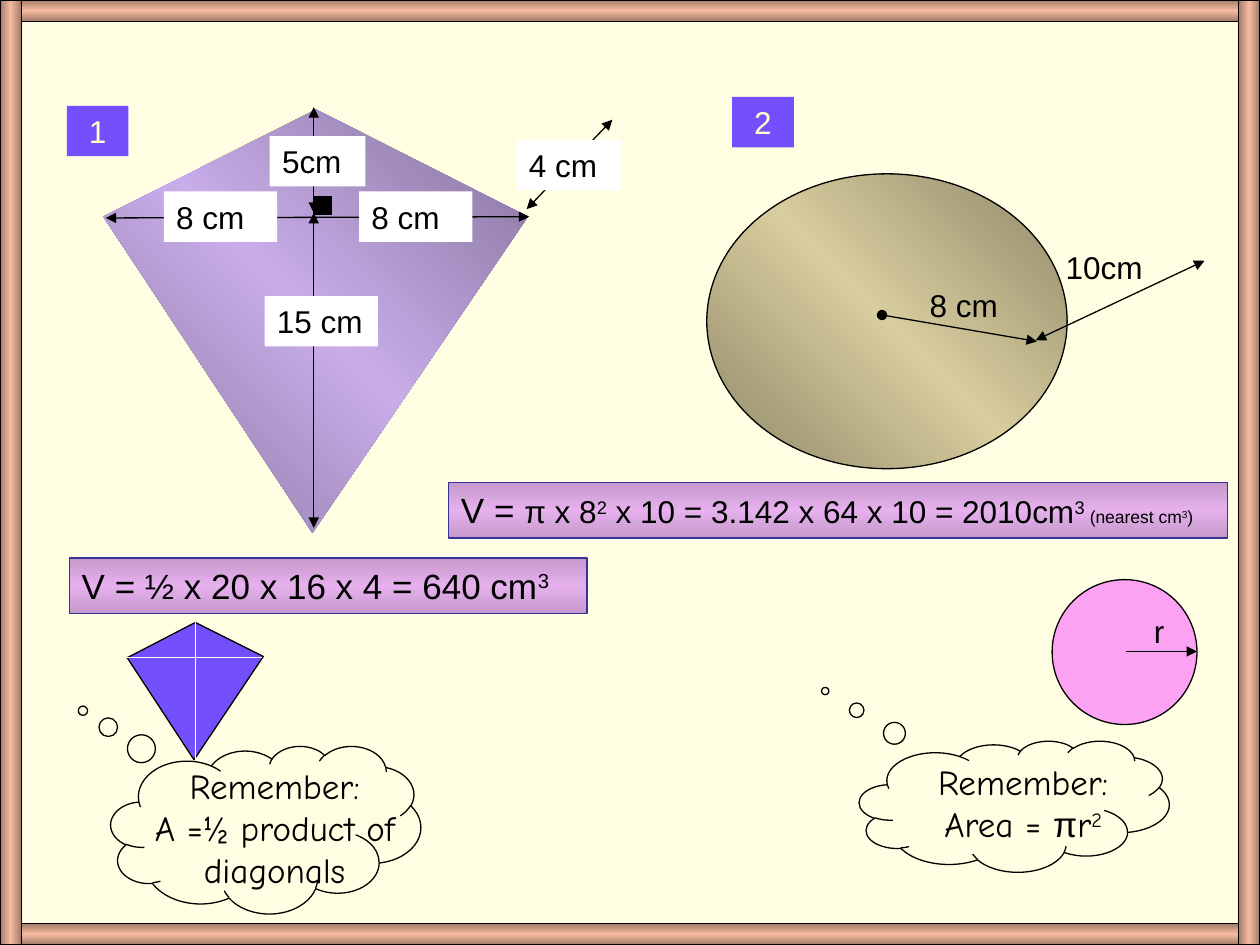
"""Build a slide on the volumes of a kite-based prism and a cylinder."""
from copy import deepcopy
from dataclasses import dataclass
from typing import Optional

from lxml import etree
from pptx import Presentation
from pptx import util as u
from pptx.dml.color import RGBColor
from pptx.enum import shapes, text
from pptx.oxml.ns import qn

COLS, ROWS = 100, 75
CELL = u.Inches(10) // COLS
FRAME = 1.7
COLORS = {
    "page": "FFFEE3", "ink": "000000", "white": "FFFFFF", "violet": "744FFD",
    "cream": "FFFFCC", "pink": "FCA2F3", "navy": "333399",
}
GRADIENTS = {
    "kite": ("847299", "C8ADE9", 135), "disc": ("8E8768", "D8CD9E", 135),
    "formula": ("C598CB", "E6B1ED", 90), "rail": ("A27B69", "F6BBA0", 90),
    "post": ("A27B69", "F6BBA0", 180),
}
RECT, OVAL = shapes.MSO_SHAPE.RECTANGLE, shapes.MSO_SHAPE.OVAL


@dataclass
class Box:
    """A rectangle in grid columns and rows."""
    x: float
    y: float
    w: float
    h: float = 4


@dataclass
class Run:
    """A stretch of text with one format."""
    text: str
    size: float = 18
    font: str = "Arial"
    raised: bool = False


@dataclass
class Line:
    """A straight line with optional arrowheads."""
    x1: float
    y1: float
    x2: float
    y2: float
    head: Optional[str] = "triangle"
    tail: Optional[str] = "triangle"
    color: str = "ink"


def grid(*values: float) -> list[int]:
    """Turn grid units into EMU."""
    return [u.Emu(round(v * CELL)) for v in values]


def rgb(name: str) -> RGBColor:
    """Look up a colour."""
    return RGBColor.from_string(COLORS[name])


def paint(sp, fill: Optional[str], line: Optional[str]) -> None:
    """Set the fill, outline and shadow of a shape."""
    sp.shadow.inherit = False
    if fill in GRADIENTS:
        edge, middle, angle = GRADIENTS[fill]
        sp.fill.gradient()
        stops = sp._element.spPr.find(".//" + qn("a:gsLst"))
        stops.append(deepcopy(stops[0]))
        for i, (stop, color) in enumerate(zip(sp.fill.gradient_stops, (edge, middle, edge))):
            stop.position = i / 2
            stop.color.rgb = RGBColor.from_string(color)
        sp.fill.gradient_angle = 360 - angle
    elif fill:
        sp.fill.solid()
        sp.fill.fore_color.rgb = rgb(fill)
    else:
        sp.fill.background()
    if line:
        sp.line.color.rgb = rgb(line)
        sp.line.width = u.Pt(0.75)
    else:
        sp.line.fill.background()


def add_shape(s, kind, box: Box, fill: Optional[str] = None, line: Optional[str] = "ink"):
    """Draw a preset shape."""
    sp = s.shapes.add_shape(kind, *grid(box.x, box.y, box.w, box.h))
    paint(sp, fill, line)
    return sp


def add_polygon(s, points: list[tuple], fill: str, line: Optional[str] = None) -> None:
    """Draw a closed outline."""
    corners = [grid(*point) for point in points]
    builder = s.shapes.build_freeform(*corners[0])
    builder.add_line_segments(corners[1:], close=True)
    paint(builder.convert_to_shape(), fill, line)


def add_line(s, line: Line) -> None:
    """Draw a straight line with its arrowheads."""
    sp = s.shapes.add_connector(
        shapes.MSO_CONNECTOR.STRAIGHT, *grid(line.x1, line.y1, line.x2, line.y2))
    sp.line.color.rgb = rgb(line.color)
    sp.line.width = u.Pt(0.75)
    ln = sp.line._get_or_add_ln()
    for tag, end in (("a:headEnd", line.head), ("a:tailEnd", line.tail)):
        if end:
            etree.SubElement(ln, qn(tag), type=end)
    etree.SubElement(sp._element.spPr, qn("a:effectLst"))


def add_text(s, box: Box, paragraphs: list[list[Run]], fill: Optional[str] = None,
             line: Optional[str] = None, color: str = "ink", centred: bool = False) -> None:
    """Draw a text box, plain or filled."""
    sp = s.shapes.add_textbox(*grid(box.x, box.y, box.w, box.h))
    if fill:
        paint(sp, fill, line)
    tf = sp.text_frame
    tf.word_wrap = True
    for i, runs in enumerate(paragraphs):
        p = tf.add_paragraph() if i else tf.paragraphs[0]
        p.alignment = text.PP_ALIGN.CENTER if centred else text.PP_ALIGN.LEFT
        for part in runs:
            r = p.add_run()
            r.text = part.text
            r.font.size = u.Pt(part.size)
            r.font.name = part.font
            r.font.color.rgb = rgb(color)
            if part.raised:
                r.font._element.set("baseline", "30000")


def add_reminder(s, cloud: Box, tail: tuple, box: Box, runs: list[Run]) -> None:
    """Draw a thought cloud with its rule."""
    sp = add_shape(s, shapes.MSO_SHAPE.CLOUD_CALLOUT, cloud)
    sp.adjustments[0], sp.adjustments[1] = tail
    add_text(s, box, [[hand("Remember:")], runs], centred=True)


def hand(words: str, raised: bool = False) -> Run:
    """Make a run in the handwritten font."""
    return Run(words, 20, "Comic Neue", raised)


def main() -> None:
    """Build and save the slide."""
    prs = Presentation()
    prs.slide_width, prs.slide_height = grid(COLS, ROWS)
    s = prs.slides.add_slide(prs.slide_layouts[6])
    s.background.fill.solid()
    s.background.fill.fore_color.rgb = rgb("page")

    add_polygon(s, [(25.1, 8.7), (8.2, 17.2), (24.8, 42.3), (41.9, 17.2)], "kite")
    add_shape(s, OVAL, Box(56.1, 13.8, 28.6, 23.4), "disc")
    add_shape(s, RECT, Box(24.9, 15.6, 1.4, 1.4), "ink")
    for line in (Line(8.4, 17.3, 42, 17.2), Line(70, 25, 82.3, 27.1, head="oval"),
                 Line(24.9, 41.9, 24.9, 16.9), Line(24.9, 16.9, 24.9, 8.5),
                 Line(41.8, 16.6, 48.6, 9.5), Line(82.2, 27, 95.6, 20.7)):
        add_line(s, line)
    for words, box, fill in (("5cm", Box(21.4, 10.8, 7.6), "white"),
                             ("8 cm", Box(13, 15.2, 9), "white"),
                             ("8 cm", Box(28.5, 15.2, 9), "white"),
                             ("8 cm", Box(72.8, 22.2, 9), None),
                             ("15 cm", Box(21, 23.5, 9), "white"),
                             ("4 cm", Box(41, 11.1, 8.3), "white"),
                             ("10cm", Box(83.6, 19.2, 8.3), None)):
        add_text(s, box, [[Run(words)]], fill)

    kite_volume = [Run("V = ½ x 20 x 16 x 4 = 640 cm", 20), Run("3", 20, raised=True)]
    cylinder_volume = [
        Run("V = ", 20), Run("π x 8"), Run("2", raised=True),
        Run(" x 10 = 3.142 x 64 x 10 = 2010cm"), Run("3 ", raised=True),
        Run("(nearest cm", 10), Run("3", 10, raised=True), Run(")", 10)]
    add_text(s, Box(5.5, 44.3, 41.1, 4.4), [kite_volume], "formula", "navy")
    add_text(s, Box(35.6, 38.3, 61.8, 4.4), [cylinder_volume], "formula", "navy")

    add_reminder(s, Box(8.8, 59.2, 24.6, 13.3), (-0.59, -0.71), Box(8.4, 60.2, 26.8, 11),
                 [hand("A =½ product of diagonals")])
    add_polygon(s, [(10.1, 52.2), (15.5, 49.4), (20.9, 52.1), (15.4, 60.3)], "violet", "ink")
    add_line(s, Line(15.5, 49.4, 15.5, 60.3, None, None, "white"))
    add_line(s, Line(10.1, 52.2, 20.8, 52.2, None, None, "white"))

    add_reminder(s, Box(68.2, 58.8, 24.6, 10.4), (-0.61, -0.88), Box(67.8, 59.9, 26.8, 11),
                 [hand("Area = "), Run("π", 20), hand("r"), hand("2", True)])
    add_shape(s, OVAL, Box(83.5, 46, 11.5, 11.5), "pink")
    add_line(s, Line(89.4, 51.7, 95, 51.7, head=None))
    add_text(s, Box(90.6, 48.1, 3.4), [[Run("r")]])

    for y in (ROWS - FRAME, 0):
        add_shape(s, RECT, Box(0, y, COLS, FRAME), "rail")
    for x in (COLS - FRAME, 0):
        add_shape(s, RECT, Box(x, 0, FRAME, ROWS), "post")
    for number, x, y in (("1", 5.3, 8.4), ("2", 58.1, 7.7)):
        add_text(s, Box(x, y, 4.9), [[Run(number)]], "violet", color="cream", centred=True)

    prs.save("out.pptx")


if __name__ == "__main__":
    main()
